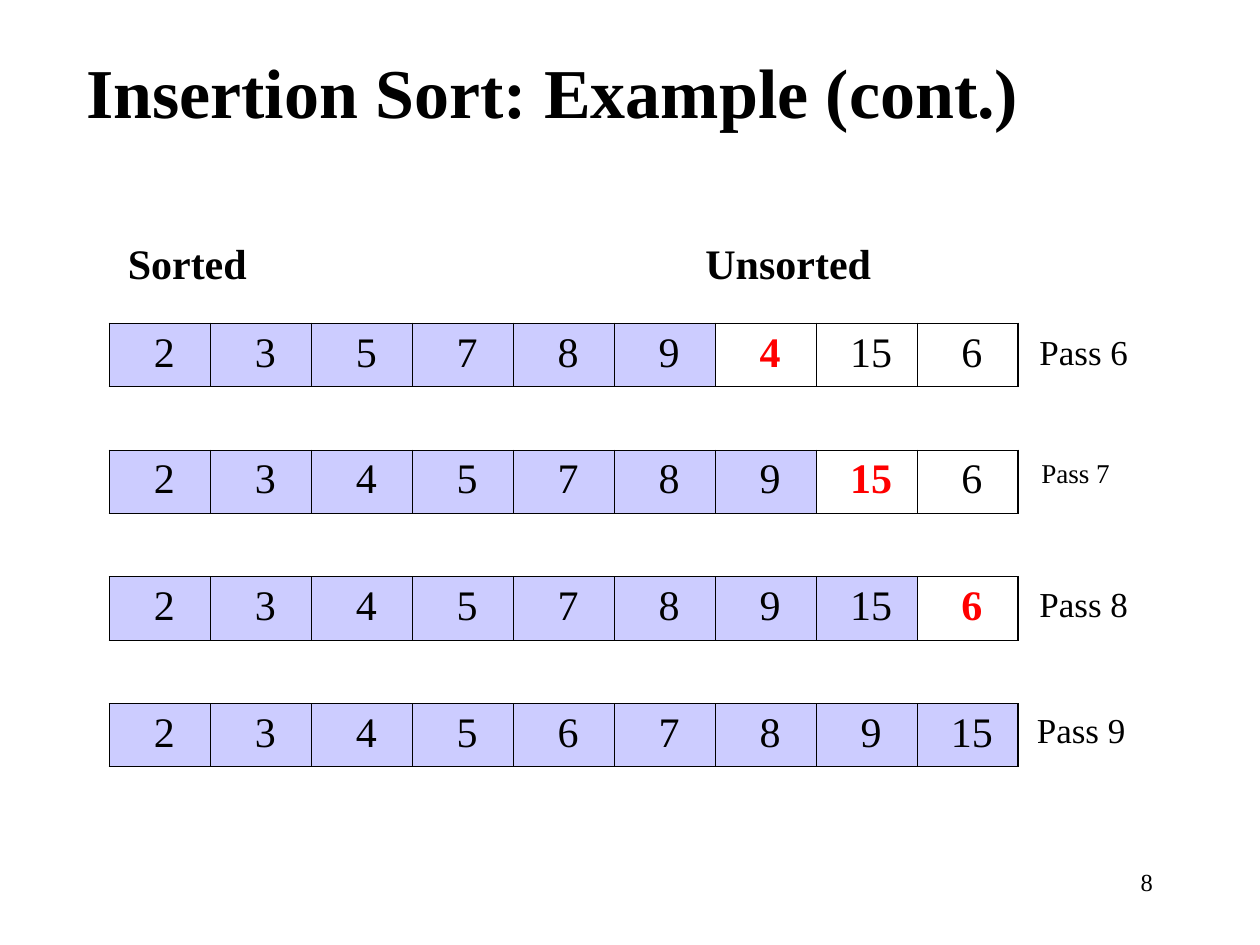
"""Build the insertion sort slide showing passes 6 to 9."""
from lxml import etree
from pptx import Presentation
from pptx.dml.color import RGBColor
from pptx.enum.text import MSO_ANCHOR, MSO_AUTO_SIZE, PP_ALIGN
from pptx.oxml.ns import qn
from pptx.util import Pt

LEFT, CENTER, RIGHT = PP_ALIGN.LEFT, PP_ALIGN.CENTER, PP_ALIGN.RIGHT
TOP = MSO_ANCHOR.TOP
FIT, FIXED = MSO_AUTO_SIZE.SHAPE_TO_FIT_TEXT, MSO_AUTO_SIZE.NONE

THEME = {
    "font": "Times New Roman",
    "ink": "000000",
    "key": "FF0000",
    "sorted": "CCCCFF",
    "title": 40,
    "body": 24,
    "label": 20,
    "small_label": 15.5,
    "number": 14,
    "outer": 1.08,
    "inner": 0.45,
}
NO_GRID_STYLE = "{2D5ABB26-0587-4C30-8999-92F81FD0307C}"


def write(tf, text, size, color="ink", bold=False, align=LEFT, before=0, spacing=None):
    p = tf.paragraphs[0]
    p.alignment = align
    p.space_before = Pt(before)
    p.line_spacing = spacing
    r = p.add_run()
    r.text = text
    r.font.name = THEME["font"]
    r.font.size = Pt(THEME[size])
    r.font.bold = bold
    r.font.color.rgb = RGBColor.from_string(THEME[color])


def add_border(cell, side, width):
    ln = etree.SubElement(cell._tc.get_or_add_tcPr(), qn(f"a:ln{side}"), w=str(Pt(width)))
    fill = etree.SubElement(ln, qn("a:solidFill"))
    etree.SubElement(fill, qn("a:srgbClr"), val=THEME["ink"])


prs = Presentation()
prs.slide_width, prs.slide_height = Pt(720), Pt(540)
s = prs.slides.add_slide(prs.slide_layouts[5])

title = s.shapes.title
title.left, title.top, title.width, title.height = Pt(42), Pt(24), Pt(600), Pt(55.4)
tf = title.text_frame
tf.vertical_anchor = TOP
tf.auto_size = FIT
write(tf, "Insertion Sort: Example (cont.)", "title", bold=True)

passes = [
    ([2, 3, 5, 7, 8, 9, 4, 15, 6], 6),
    ([2, 3, 4, 5, 7, 8, 9, 15, 6], 7),
    ([2, 3, 4, 5, 7, 8, 9, 15, 6], 8),
    ([2, 3, 4, 5, 6, 7, 8, 9, 15], 9),
]
n_rows, n_cols = 2 * len(passes) - 1, 9
col_w, row_h = 57.7, 36.2
frame = s.shapes.add_table(
    n_rows, n_cols, Pt(62.6), Pt(184.8), Pt(n_cols * col_w), Pt(n_rows * row_h))
table = frame.table
table.first_row = table.horz_banding = False
table._tbl.tblPr.find(qn("a:tableStyleId")).text = NO_GRID_STYLE
for col in table.columns:
    col.width = Pt(col_w)
for row in table.rows:
    row.height = Pt(row_h)

for i in range(n_rows):
    is_gap = i % 2 == 1
    values, n_sorted = passes[i // 2]
    for j, value in enumerate(values):
        cell = table.cell(i, j)
        if not is_gap:
            add_border(cell, "L", THEME["outer" if j == 0 else "inner"])
            add_border(cell, "R", THEME["outer" if j == n_cols - 1 else "inner"])
        add_border(cell, "T", THEME["outer" if i == 0 else "inner"])
        add_border(cell, "B", THEME["inner"])
        if is_gap or j >= n_sorted:
            cell.fill.background()
        else:
            cell.fill.solid()
            cell.fill.fore_color.rgb = RGBColor.from_string(THEME["sorted"])
        if not is_gap:
            is_key = j == n_sorted
            cell.margin_left = Pt(12.2)
            write(cell.text_frame, str(value), "body", color="key" if is_key else "ink",
                  bold=is_key, align=CENTER, before=6)

heading = {"size": "body", "bold": True, "before": 15}
label = {"size": "label"}
small = {"size": "small_label", "spacing": 0.8}
texts = [
    ("Sorted", 66, 132, 114, 36, True, FIT, heading),
    ("Unsorted", 396, 132, 114, 36, True, FIT, heading),
    ("Pass 6", 594, 188.6, 67.7, 27.4, False, FIXED, label),
    ("Pass 7", 588, 260.6, 75, 27.4, True, FIXED, small),
    ("Pass 8", 594, 332.6, 67.7, 27.4, False, FIXED, label),
    ("Pass 9", 592.5, 404.6, 67.7, 27.4, False, FIXED, label),
    ("8", 516, 492, 150, 36, True, FIXED, {"size": "number", "align": RIGHT}),
]
for text, x, y, w, h, has_margin, fit, style in texts:
    tf = s.shapes.add_textbox(Pt(x), Pt(y), Pt(w), Pt(h)).text_frame
    tf.word_wrap = True
    tf.auto_size = fit
    tf.vertical_anchor = TOP
    if not has_margin:
        tf.margin_left = tf.margin_top = tf.margin_right = tf.margin_bottom = 0
    write(tf, text, **style)

prs.save("out.pptx")
